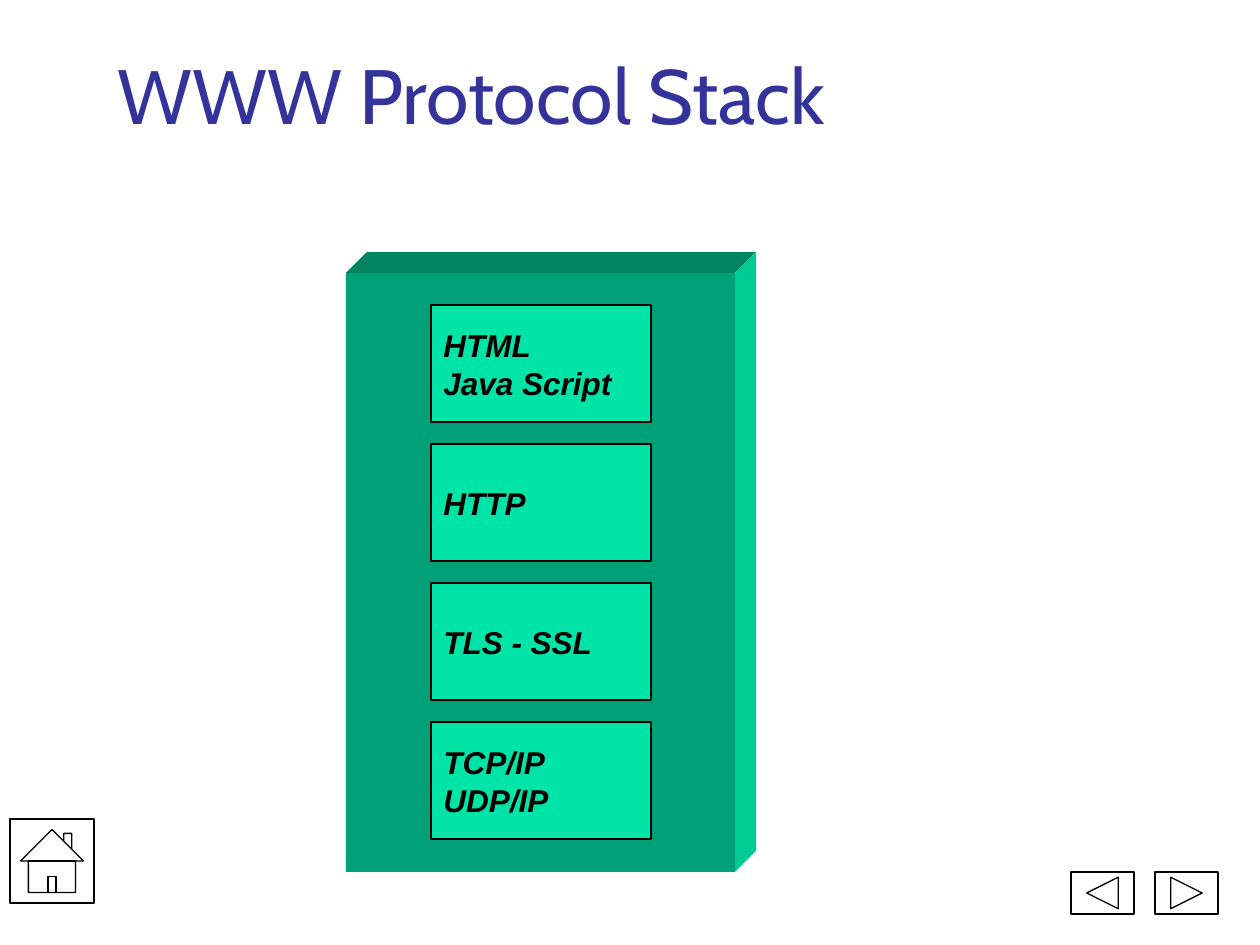
from pptx import Presentation
from pptx.dml.color import RGBColor
from pptx.enum.shapes import MSO_SHAPE
from pptx.enum.text import MSO_ANCHOR, PP_ALIGN
from pptx.util import Pt

EMU_PER_PX = 914400 / 126

COLORS = {
    "title": "333399",
    "front": "00A078",
    "top": "008560",
    "side": "00CB95",
    "layer": "00E4A8",
    "ink": "000000",
}

TITLE = "WWW Protocol Stack"
LAYERS = ["HTML\nJava Script", "HTTP", "TLS - SSL", "TCP/IP\nUDP/IP"]
LAYER_LEFT, LAYER_TOP, LAYER_WIDTH, LAYER_HEIGHT = 431, 305, 220, 117
LAYER_PITCH = 139

# Front face of the block, and how far it recedes up and to the right
LEFT, TOP, RIGHT, BOTTOM = 346, 273, 735, 872
DEPTH = 21

NAV_BUTTONS = [
    (MSO_SHAPE.ACTION_BUTTON_HOME, (10, 819, 84, 84)),
    (MSO_SHAPE.ACTION_BUTTON_FORWARD_OR_NEXT, (1155, 872, 63, 42)),
    (MSO_SHAPE.ACTION_BUTTON_BACK_OR_PREVIOUS, (1071, 872, 63, 42)),
]


def px(length):
    return round(length * EMU_PER_PX)


def rgb(name):
    return RGBColor.from_string(COLORS[name])


def paint(shape, fill=None, line=None):
    shape.shadow.inherit = False
    if fill:
        shape.fill.solid()
        shape.fill.fore_color.rgb = rgb(fill)
    else:
        shape.fill.background()
    if line:
        shape.line.color.rgb = rgb(line)
        shape.line.width = Pt(0.75)
    else:
        shape.line.fill.background()


def add_preset(slide, kind, box, fill=None, line=None):
    shape = slide.shapes.add_shape(kind, *map(px, box))
    paint(shape, fill, line)
    return shape


def add_face(slide, corners, fill):
    outline = slide.shapes.build_freeform(*corners[0], scale=EMU_PER_PX)
    outline.add_line_segments(corners[1:], close=True)
    paint(outline.convert_to_shape(), fill)


def format_text(frame, font_name, size, color, bold=False, italic=False):
    frame.word_wrap = True
    frame.vertical_anchor = MSO_ANCHOR.MIDDLE
    for paragraph in frame.paragraphs:
        paragraph.alignment = PP_ALIGN.LEFT
        for run in paragraph.runs:
            run.font.name = font_name
            run.font.size = Pt(size)
            run.font.bold = bold
            run.font.italic = italic
            run.font.color.rgb = rgb(color)


def add_block(slide):
    add_preset(slide, MSO_SHAPE.RECTANGLE,
               (LEFT, TOP, RIGHT - LEFT, BOTTOM - TOP), "front")
    back_top, back_right = TOP - DEPTH, RIGHT + DEPTH
    add_face(slide, [(LEFT, TOP), (LEFT + DEPTH, back_top),
                     (back_right, back_top), (RIGHT, TOP)], "top")
    add_face(slide, [(RIGHT, TOP), (back_right, back_top),
                     (back_right, BOTTOM - DEPTH), (RIGHT, BOTTOM)], "side")


def main():
    deck = Presentation()
    deck.slide_width, deck.slide_height = px(1260), px(945)
    slide = deck.slides.add_slide(deck.slide_layouts[5])

    title = slide.shapes.title
    title.left, title.top, title.width, title.height = map(px, (105, 31, 1124, 126))
    title.text_frame.text = TITLE
    format_text(title.text_frame, "Cabin", 44, "title")

    add_block(slide)
    for row, label in enumerate(LAYERS):
        box = (LAYER_LEFT, LAYER_TOP + row * LAYER_PITCH, LAYER_WIDTH, LAYER_HEIGHT)
        layer = add_preset(slide, MSO_SHAPE.RECTANGLE, box, "layer", "ink")
        layer.text_frame.text = label
        format_text(layer.text_frame, "Arial", 18, "ink", bold=True, italic=True)

    for kind, box in NAV_BUTTONS:
        add_preset(slide, kind, box, line="ink")

    deck.save("out.pptx")


if __name__ == "__main__":
    main()
